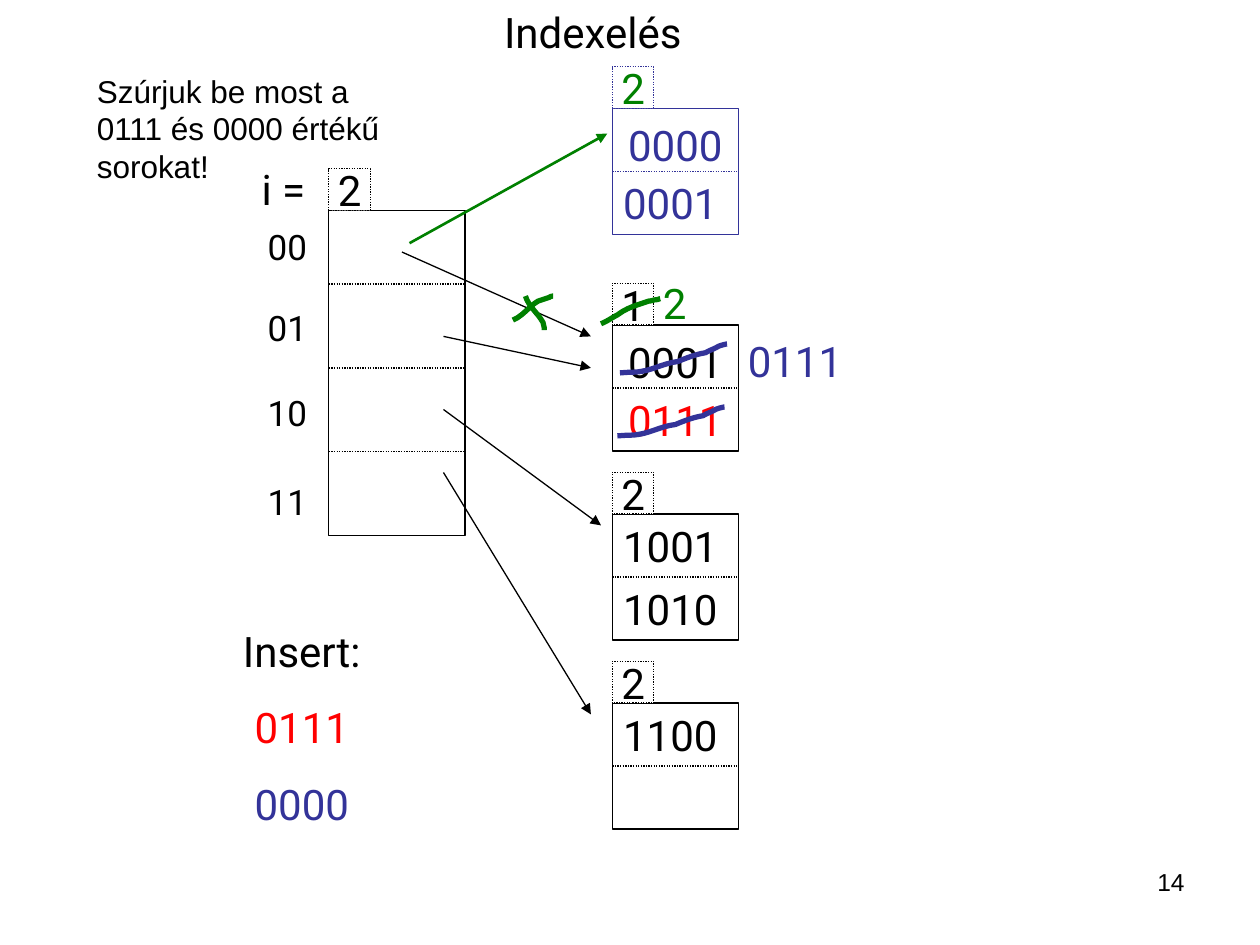
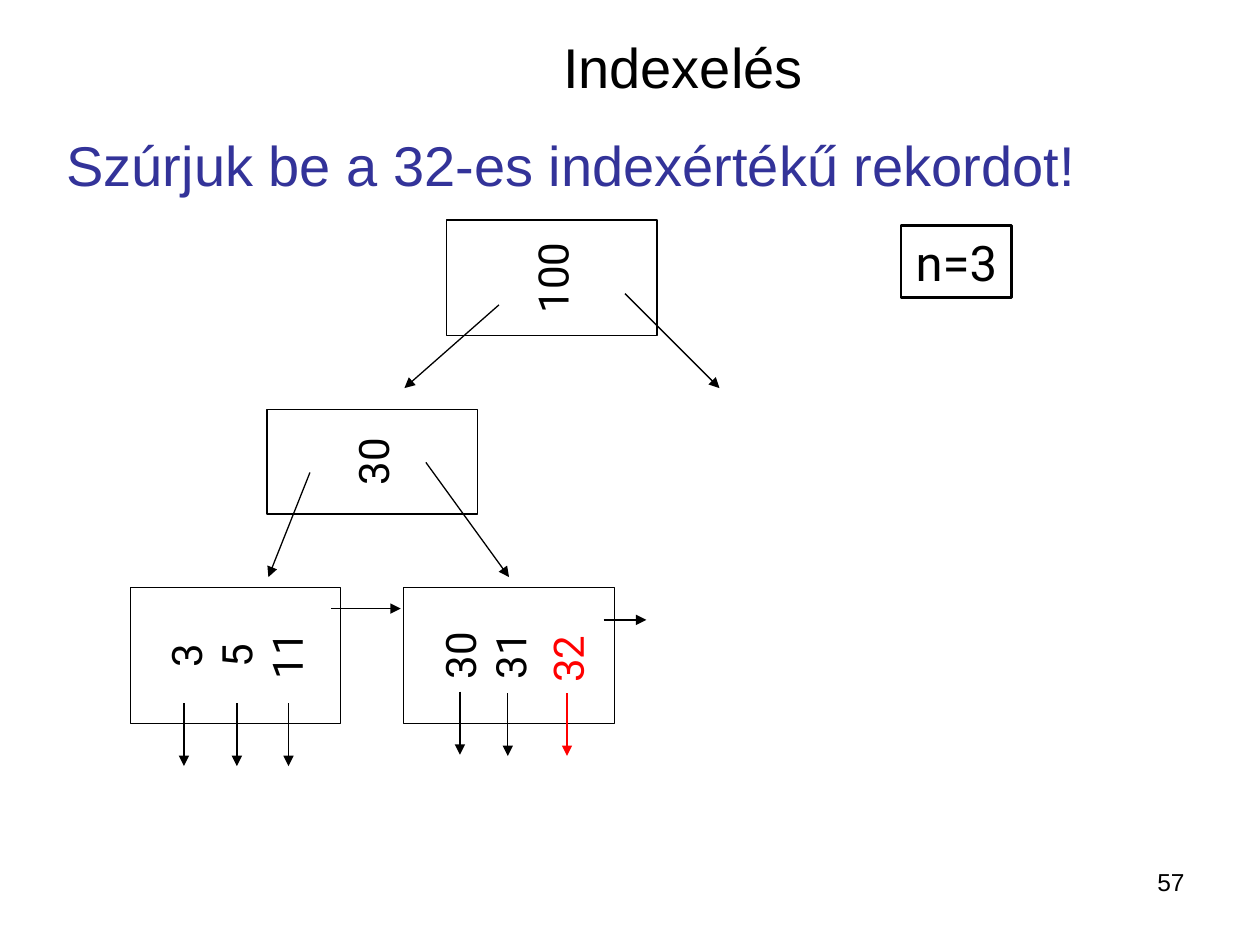
import pptx
import pptx.dml.color
import pptx.enum.dml
import pptx.enum.shapes
import pptx.enum.text
import pptx.oxml
import pptx.oxml.ns
import pptx.util

# ---- Shared look ----
WIDTH, HEIGHT = 10, 7.5
BLACK, WHITE, BLUE, GREEN, RED = "000000", "FFFFFF", "333399", "008000", "FF0000"
PLAIN, DIAGRAM = "Arial", "Roboto"
ALIGN = pptx.enum.text.PP_ALIGN
ANCHOR = pptx.enum.text.MSO_ANCHOR

# ---- Slide 1: hash directory and its buckets (lengths in inches) ----
BUCKET_LEFT, BUCKET_SIZE, TAG = 4.86, 1, 0.33
# top, depth, outline colour, depth colour, rows of (key, colour, shift right, shift down)
BUCKETS = [
    (0.86, "2", BLUE, GREEN, [("0000", BLUE, 0, 0.04), ("0001", BLUE, -0.04, 0)]),
    (2.58, "1", BLACK, BLACK, [("0001", BLACK, 0, 0.04), ("0111", RED, 0, 0)]),
    (4.08, "2", BLACK, BLACK, [("1001", BLACK, -0.04, 0), ("1010", BLACK, -0.04, 0)]),
    (5.58, "2", BLACK, BLACK, [("1100", BLACK, -0.04, 0)]),
]
DIRECTORY = (2.61, 1.67, 1.08, 2.58)
DIRECTORY_KEYS = [("00", 1), ("01", 1.4), ("10", 1.5), ("11", 1.6)]  # key, line spacing
DIRECTORY_ARROWS = [
    ((3.19, 2), (4.69, 2.67)),
    ((3.52, 2.67), (4.69, 2.92)),
    ((3.52, 3.25), (4.77, 4.17)),
    ((3.52, 3.75), (4.69, 5.67)),
]
INSERTS = [("Insert:", BLACK), ("0111", RED), ("0000", BLUE)]
# Pen strokes: a start point, then triples of two control points and an end point
KEY_STRIKE = [
    (4.9, 3.46), (5.03, 3.45), (5.02, 3.46), (5.11, 3.44), (5.19, 3.42), (5.27, 3.38),
    (5.36, 3.37), (5.43, 3.34), (5.51, 3.31), (5.58, 3.3), (5.61, 3.28), (5.65, 3.27),
    (5.68, 3.25), (5.7, 3.24), (5.75, 3.23), (5.75, 3.23),
]
DEPTH_STRIKE = [
    (4.77, 2.57), (4.82, 2.55), (4.86, 2.52), (4.9, 2.5), (4.98, 2.44), (5.06, 2.42),
    (5.15, 2.39), (5.17, 2.39), (5.19, 2.38), (5.2, 2.38), (5.22, 2.38), (5.24, 2.37),
    (5.24, 2.37),
]
CROSS_RISING = [
    (4.07, 2.54), (4.15, 2.51), (4.2, 2.43), (4.27, 2.39), (4.3, 2.38), (4.33, 2.37),
    (4.36, 2.36), (4.37, 2.35), (4.39, 2.35), (4.39, 2.35),
]
CROSS_FALLING = [
    (4.17, 2.35), (4.19, 2.41), (4.22, 2.44), (4.26, 2.49), (4.28, 2.51), (4.31, 2.56),
    (4.31, 2.56), (4.32, 2.61), (4.32, 2.59), (4.32, 2.62),
]
# stroke, colour, shift right, shift down
STROKES = [
    (KEY_STRIKE, BLUE, 0, 0),
    (KEY_STRIKE, BLUE, 0.02, -0.5),
    (CROSS_RISING, GREEN, 0, 0),
    (CROSS_FALLING, GREEN, 0, 0),
    (DEPTH_STRIKE, GREEN, 0, 0),
]

# ---- Slide 2: B-tree ----
NODE_WIDTH, LINE_HEIGHT = 1.67, 0.39
# centre x, centre y, height, keys, free key places
NODES = [
    (1.87, 5.205, 1.08, ["3", "5", "11"], 0),
    (4.04, 5.205, 1.08, ["30", "31"], 1),
    (2.955, 3.665, 0.83, ["30"], 0),
    (4.38, 2.205, 0.92, ["100"], 0),
]
CHILD_ARROWS = [
    ((3.96, 2.42), (3.21, 3.08)), ((4.96, 2.33), (5.71, 3.08)),
    ((2.46, 3.75), (2.13, 4.58)), ((3.38, 3.67), (4.04, 4.58)),
]
NEXT_LEAF_ARROWS = [((2.63, 4.83), (3.18, 4.83)), ((4.79, 4.92), (5.13, 4.92))]
# x, top, colour of each arrow from a leaf key to its record
RECORD_ARROWS = [
    (1.46, 5.58, BLACK), (1.88, 5.58, BLACK), (2.29, 5.58, BLACK),
    (3.65, 5.49, BLACK), (4.03, 5.5, BLACK), (4.5, 5.5, RED),
]


# ---- Helpers ----
def rgb(colour):
    return pptx.dml.color.RGBColor.from_string(colour)


def inches(*lengths):
    return [pptx.util.Inches(length) for length in lengths]


def write(box, lines, size=24, font=DIAGRAM, align=ALIGN.CENTER, anchor=ANCHOR.MIDDLE,
          wrap=False, gap=0):
    """Fill a box with (text, colour) lines, with an optional gap between them."""
    frame = box.text_frame
    frame.word_wrap = wrap
    frame.vertical_anchor = anchor
    for number, (text, colour) in enumerate(lines):
        para = frame.add_paragraph() if number else frame.paragraphs[0]
        para.text = text
        para.alignment = align
        if number and gap:
            para.space_before = pptx.util.Pt(gap)
        para.font.size = pptx.util.Pt(size)
        para.font.name = font
        para.font.color.rgb = rgb(colour)
    return box


def add_text(page, at, lines, **style):
    return write(page.shapes.add_textbox(*inches(*at)), lines, **style)


def style_line(line, colour, weight, dotted=False):
    line.color.rgb = rgb(colour)
    line.width = pptx.util.Pt(weight)
    if dotted:
        line.dash_style = pptx.enum.dml.MSO_LINE.ROUND_DOT


def add_box(page, at, colour=BLACK, weight=0.75, dotted=False):
    box = page.shapes.add_shape(pptx.enum.shapes.MSO_SHAPE.RECTANGLE, *inches(*at))
    box.shadow.inherit = False
    box.fill.solid()
    box.fill.fore_color.rgb = rgb(WHITE)
    style_line(box.line, colour, weight, dotted)
    return box


def add_line(page, start, end, colour=BLACK, weight=0.75, dotted=False, arrow=False):
    line = page.shapes.add_connector(
        pptx.enum.shapes.MSO_CONNECTOR.STRAIGHT, *inches(*start, *end))
    style_line(line.line, colour, weight, dotted)
    properties = line._element.spPr
    if arrow:
        head = pptx.oxml.parse_xml(
            f'<a:tailEnd {pptx.oxml.ns.nsdecls("a")} type="triangle"/>')
        properties.find(pptx.oxml.ns.qn("a:ln")).append(head)
    properties.append(pptx.oxml.parse_xml(
        f'<a:effectLst {pptx.oxml.ns.nsdecls("a")}/>'))


def add_stroke(page, points, colour, right, down, steps=6):
    """Draw a chain of cubic curves as a fine polyline."""
    points = [(x + right, y + down) for x, y in points]
    trace = []
    for first in range(0, len(points) - 1, 3):
        curve = points[first:first + 4]
        for step in range(1, steps + 1):
            t = step / steps
            weights = ((1 - t) ** 3, 3 * t * (1 - t) ** 2, 3 * t ** 2 * (1 - t), t ** 3)
            trace.append(inches(*(sum(w * point[axis] for w, point in zip(weights, curve))
                                  for axis in (0, 1))))
    builder = page.shapes.build_freeform(*inches(*points[0]))
    builder.add_line_segments(trace, close=False)
    stroke = builder.convert_to_shape()
    stroke.shadow.inherit = False
    stroke.fill.background()
    style_line(stroke.line, colour, 3)


def add_page(deck, number):
    page = deck.slides.add_slide(deck.slide_layouts[6])
    add_text(page, (7.17, 6.83, 2.33, 0.52), [(number, BLACK)], size=14, font=PLAIN,
             align=ALIGN.RIGHT, anchor=ANCHOR.TOP, wrap=True)
    return page


def add_tag(page, left, block_top, depth, outline, colour):
    tag = add_box(page, (left, block_top - TAG, TAG, TAG), outline, dotted=True)
    write(tag, [(depth, colour)])


def add_bucket(page, top, depth, outline, depth_colour, rows):
    row_height = BUCKET_SIZE / 2
    middle = top + row_height
    add_box(page, (BUCKET_LEFT, top, BUCKET_SIZE, BUCKET_SIZE), outline)
    add_tag(page, BUCKET_LEFT, top, depth, outline, depth_colour)
    add_line(page, (BUCKET_LEFT, middle), (BUCKET_LEFT + BUCKET_SIZE, middle),
             outline, dotted=True)
    for row, (key, colour, right, down) in enumerate(rows):
        at = (BUCKET_LEFT + right, top + row * row_height + down, BUCKET_SIZE, row_height)
        add_text(page, at, [(key, colour)])


def add_directory(page):
    left, top, width, height = DIRECTORY
    add_box(page, DIRECTORY)
    add_tag(page, left, top, "2", BLACK, BLACK)
    row_height = 0.665
    for row in (1, 2, 3):
        y = top + height - row * row_height
        add_line(page, (left, y), (left + width, y), dotted=True)
    add_text(page, (1.97, 1.25, 0.56, 0.5), [("i =", BLACK)])
    keys = add_text(page, (2.02, 1.74, 0.52, 2.46),
                    [(key, BLACK) for key, spacing in DIRECTORY_KEYS], size=20, gap=12.5)
    for para, (key, spacing) in zip(keys.text_frame.paragraphs, DIRECTORY_KEYS):
        para.line_spacing = float(spacing)


def add_node(page, x, y, height, keys, free):
    """Draw a node turned a quarter left, so that its keys run upwards."""
    node = add_box(page, (x - height / 2, y - NODE_WIDTH / 2, height, NODE_WIDTH))
    node.rotation = 270
    write(node, [(key, BLACK) for key in keys])
    node.text_frame.margin_bottom = pptx.util.Inches(0.05 + free * LINE_HEIGHT)


# ---- Slides ----
def build_hash_page(deck):
    page = add_page(deck, "14")
    for bucket in BUCKETS:
        add_bucket(page, *bucket)
    add_directory(page)
    for start, end in DIRECTORY_ARROWS:
        add_line(page, start, end, arrow=True)
    add_line(page, (3.25, 1.93), (4.82, 1.06), GREEN, 1.5, arrow=True)
    add_text(page, (3.85, 0, 1.71, 0.5), [("Indexelés", BLACK)])
    add_text(page, (0.67, 0.52, 2.76, 1),
             [("Szúrjuk be most a 0111 és 0000 értékű sorokat!", BLACK)], size=18,
             font=PLAIN, align=ALIGN.LEFT, anchor=ANCHOR.TOP, wrap=True)
    add_text(page, (1.79, 4.91, 1.21, 1.72), INSERTS, gap=15)
    # Changes made by the insertion
    add_text(page, (5.83, 2.61, 0.96, 0.5), [("0111", BLUE)])
    add_text(page, (5.16, 2.15, 0.39, 0.5), [("2", GREEN)])
    for stroke in STROKES:
        add_stroke(page, *stroke)


def build_tree_page(deck):
    page = add_page(deck, "57")
    heading = dict(size=32, font=PLAIN, align=ALIGN.LEFT, anchor=ANCHOR.TOP, wrap=True)
    add_text(page, (4.37, 0.21, 2.91, 0.64), [("Indexelés", BLACK)], **heading)
    add_text(page, (0.43, 0.99, 8.5, 0.65),
             [("Szúrjuk be a 32-es indexértékű rekordot!", BLUE)], **heading)
    write(add_box(page, (7.15, 1.79, 0.88, 0.57), weight=1.5), [("n=3", BLACK)], size=28)
    for node in NODES:
        add_node(page, *node)
    for start, end in CHILD_ARROWS + NEXT_LEAF_ARROWS:
        add_line(page, start, end, arrow=True)
    for x, top, colour in RECORD_ARROWS:
        add_line(page, (x, top), (x, top + 0.5), colour, arrow=True)
    new_key = add_text(page, (4.21, 4.98, 0.58, 0.5), [("32", RED)])
    new_key.rotation = 270


def main():
    deck = pptx.Presentation()
    deck.slide_width, deck.slide_height = inches(WIDTH, HEIGHT)
    build_hash_page(deck)
    build_tree_page(deck)
    deck.save("out.pptx")


if __name__ == "__main__":
    main()
